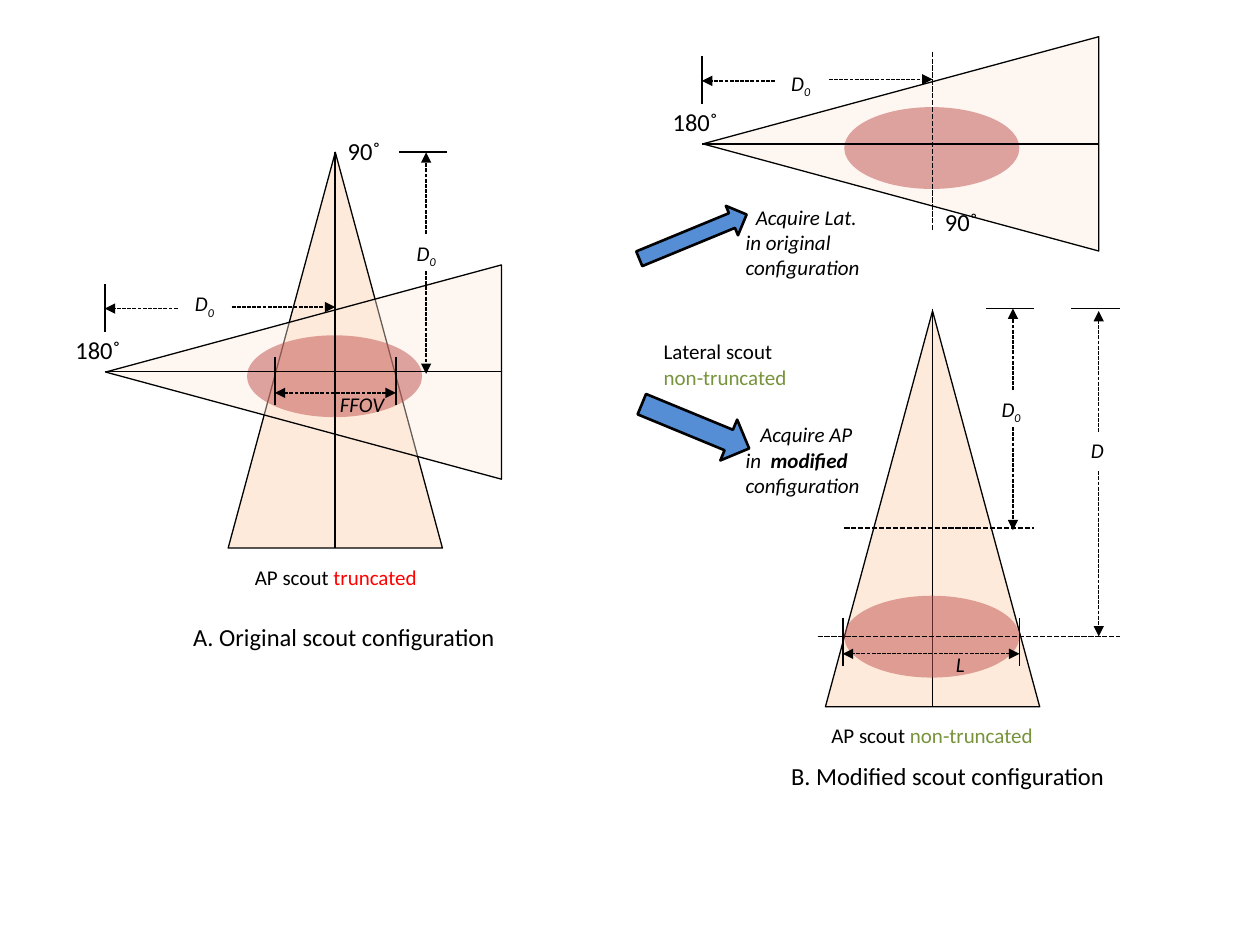
from lxml.etree import SubElement
from pptx import Presentation
from pptx.dml.color import RGBColor
from pptx.enum.dml import MSO_LINE
from pptx.enum.shapes import MSO_CONNECTOR, MSO_SHAPE as Preset
from pptx.enum.text import MSO_AUTO_SIZE, PP_ALIGN
from pptx.oxml.ns import qn
from pptx.util import Cm, Pt


def color(value):
    return RGBColor.from_string(value)


def add_line(x1, y1, x2, y2, kind="solid"):
    line = shapes.add_connector(MSO_CONNECTOR.STRAIGHT, Cm(x1), Cm(y1), Cm(x2), Cm(y2))
    width, dashed, ends = LINE_KINDS[kind]
    line.line.color.rgb = color("000000")
    line.line.width = Pt(width)
    if dashed:
        line.line.dash_style = MSO_LINE.SQUARE_DOT
    properties = line._element.spPr
    for end in ends:
        SubElement(properties.find(qn("a:ln")), qn(end), type="triangle")
    SubElement(properties, qn("a:effectLst"))


LINE_KINDS = {
    "solid": (1, False, []),
    "dashed": (1, True, []),
    "arrow": (0.75, True, ["a:tailEnd"]),
    "span": (0.75, True, ["a:headEnd", "a:tailEnd"]),
}
BEAM = (Preset.ISOSCELES_TRIANGLE, 4.32, 7.98, "FDEADA", 0.75)
PATIENT = (Preset.OVAL, 3.53, 1.65, "C0504D", 0)
LATERAL_STEP = (Preset.RIGHT_ARROW, 2.34, 0.64, "558ED5", 1.5)
AP_STEP = (Preset.RIGHT_ARROW, 2.34, 0.89, "558ED5", 1.5)

prs = Presentation()
prs.slide_width, prs.slide_height = Cm(25.4), Cm(19.05)
shapes = prs.slides.add_slide(prs.slide_layouts[6]).shapes

figures = [
    (BEAM, 4.6, 3.07, 0, 100),
    (BEAM, 3.96, 3.51, 270, 40),
    (PATIENT, 4.98, 6.76, 0, 50),
    (BEAM, 16, -1.09, 270, 40),
    (PATIENT, 17.02, 2.16, 0, 50),
    (BEAM, 16.64, 6.27, 0, 100),
    (PATIENT, 17.02, 12.01, 0, 50),
    (LATERAL_STEP, 12.8, 4.45, 337.6, 100),
    (AP_STEP, 12.85, 8.15, 22.4, 100),
]
for (preset, width, height, fill, outline), x, y, rotation, opacity in figures:
    if (x, y) == (17.02, 12.01):
        add_line(18.8, 6.22, 18.8, 14.25)
    figure = shapes.add_shape(preset, Cm(x), Cm(y), Cm(width), Cm(height))
    figure.rotation = rotation
    figure.shadow.inherit = False
    figure.fill.solid()
    figure.fill.fore_color.rgb = color(fill)
    if opacity < 100:
        tint = figure._element.spPr.find(qn("a:solidFill"))[0]
        SubElement(tint, qn("a:alpha"), val=str(opacity * 1000))
    if outline:
        figure.line.color.rgb = color("000000")
        figure.line.width = Pt(outline)
    else:
        figure.line.fill.background()

for left, axis_y, centre_x in [(2.11, 7.49, 6.76), (14.15, 2.9, 18.8)]:
    add_line(left, axis_y, left + 8, axis_y)
    add_line(left, axis_y - 0.8, left, axis_y - 1.77)
    add_line(left + 1.47, axis_y - 1.27, left, axis_y - 1.27, "arrow")
    add_line(centre_x - 2.09, axis_y - 1.3, centre_x, axis_y - 1.3, "arrow")

for top, centre_x in [(3.07, 8.59), (6.22, 20.42)]:
    add_line(centre_x - 0.55, top, centre_x + 0.43, top)
    add_line(centre_x, top + 1.65, centre_x, top, "arrow")
    add_line(centre_x, top + 2.39, centre_x, top + 4.47, "arrow")

for left, right, y in [(5.54, 7.98, 7.92), (16.99, 20.55, 13.18)]:
    add_line(right, y, left, y, "span")
    for edge in (left, right):
        add_line(edge, y + 0.25, edge, y - 0.73)

add_line(6.76, 3.07, 6.76, 11.05)
add_line(18.8, 1.04, 18.8, 4.65, "dashed")
add_line(17.02, 10.64, 20.85, 10.64, "dashed")
add_line(16.48, 12.83, 22.58, 12.83, "dashed")
add_line(21.59, 6.22, 22.58, 6.22)
add_line(22.15, 8.71, 22.15, 6.27, "arrow")
add_line(22.15, 9.5, 22.15, 12.83, "arrow")

STYLES = {
    "plain": ("000000", False, False),
    "italic": ("000000", True, False),
    "strong": ("000000", True, True),
    "sub": ("000000", True, False),
    "bad": ("FF0000", False, False),
    "good": ("77933C", False, False),
}
LEFT, CENTER = PP_ALIGN.LEFT, PP_ALIGN.CENTER
distance = [(LEFT, [("D", "italic"), ("0", "sub")])]
ninety = [(LEFT, [("90˚", "plain")])]
half_turn = [(LEFT, [("180˚", "plain")])]
configuration = (LEFT, [("configuration", "italic")])

labels = [
    (4.85, 11.25, 3.84, 0.76, 12, [(CENTER, [("AP scout ", "plain"), ("truncated", "bad")])]),
    (16.48, 14.45, 4.62, 0.76, 12, [(CENTER, [("AP scout ", "plain"), ("non-truncated", "good")])]),
    (13.13, 6.71, 3.02, 1.27, 12, [(LEFT, [("Lateral scout ", "plain")]),
                                   (LEFT, [("non-truncated", "good")])]),
    (6.76, 2.62, 1.17, 0.86, 14, ninety),
    (18.8, 4.04, 1.17, 0.86, 14, ninety),
    (1.27, 6.63, 1.42, 0.86, 14, half_turn),
    (13.31, 2.03, 1.42, 0.86, 14, half_turn),
    (8.15, 4.72, 0.99, 0.76, 12, distance),
    (3.68, 5.74, 0.99, 0.76, 12, distance),
    (15.7, 1.3, 0.99, 0.76, 12, distance),
    (19.94, 7.87, 0.99, 0.76, 12, distance),
    (21.74, 8.69, 0.84, 0.76, 12, [(LEFT, [("D", "italic")])]),
    (6.6, 7.77, 1.5, 0.76, 12, [(LEFT, [("FFOV", "italic")])]),
    (19.02, 13, 0.76, 0.76, 12, [(LEFT, [("L", "italic")])]),
    (14.78, 3.99, 2.95, 1.8, 12, [(CENTER, [("Acquire Lat.", "italic")]),
                                  (LEFT, [("in original ", "italic")]), configuration]),
    (14.78, 8.38, 2.95, 1.8, 12, [(CENTER, [("Acquire AP", "italic")]),
                                  (LEFT, [("in  ", "italic"), ("modified", "strong")]),
                                  configuration]),
    (3.61, 12.42, 6.65, 0.86, 14, [(CENTER, [("A. Original scout configuration", "plain")])]),
    (15.65, 15.21, 6.91, 0.86, 14, [(CENTER, [("B. Modified scout configuration", "plain")])]),
]
for x, y, width, height, size, lines in labels:
    frame = shapes.add_textbox(Cm(x), Cm(y), Cm(width), Cm(height)).text_frame
    frame.word_wrap = False
    frame.auto_size = MSO_AUTO_SIZE.SHAPE_TO_FIT_TEXT
    for index, (alignment, pieces) in enumerate(lines):
        paragraph = frame.add_paragraph() if index else frame.paragraphs[0]
        paragraph.alignment = alignment
        for words, style in pieces:
            run = paragraph.add_run()
            run.text = words
            ink, italic, bold = STYLES[style]
            run.font.name = "Calibri"
            run.font.size = Pt(size)
            run.font.color.rgb = color(ink)
            run.font.italic = italic
            run.font.bold = bold
            if style == "sub":
                run.font._element.set("baseline", "-25000")

prs.save("out.pptx")
